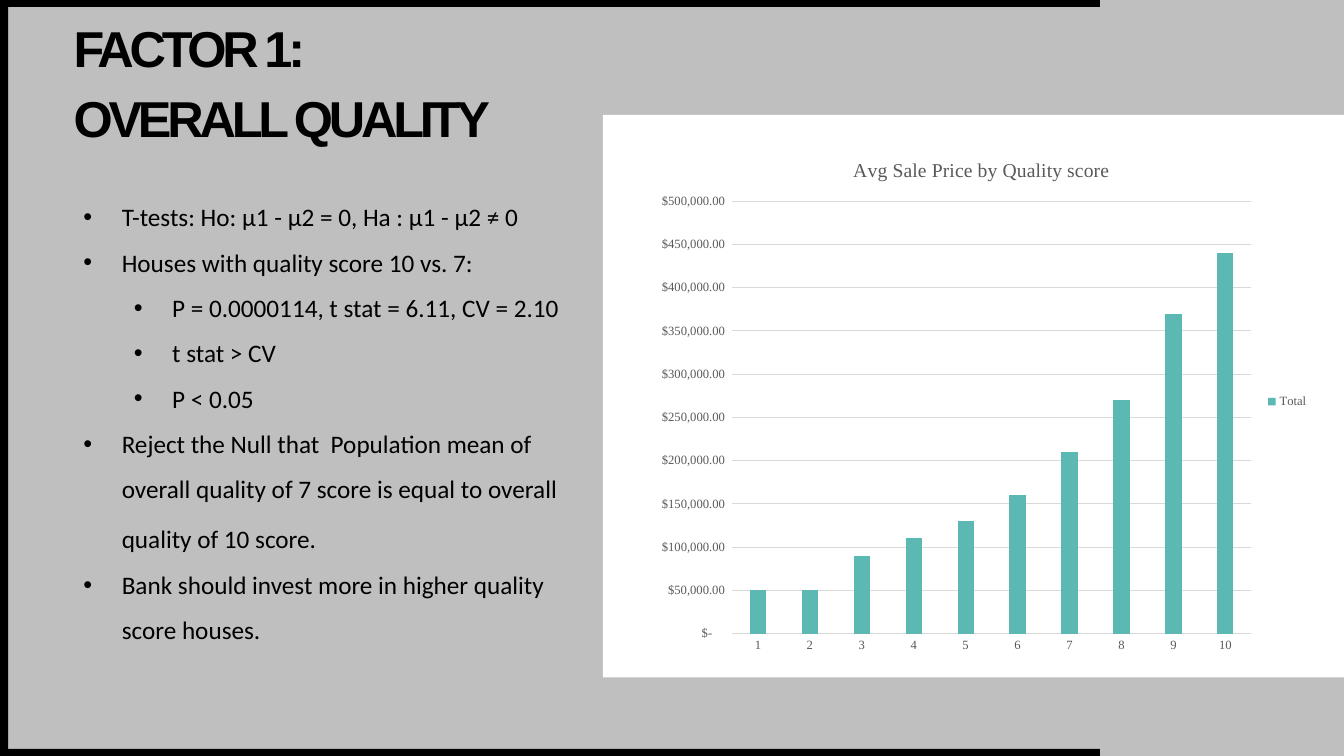
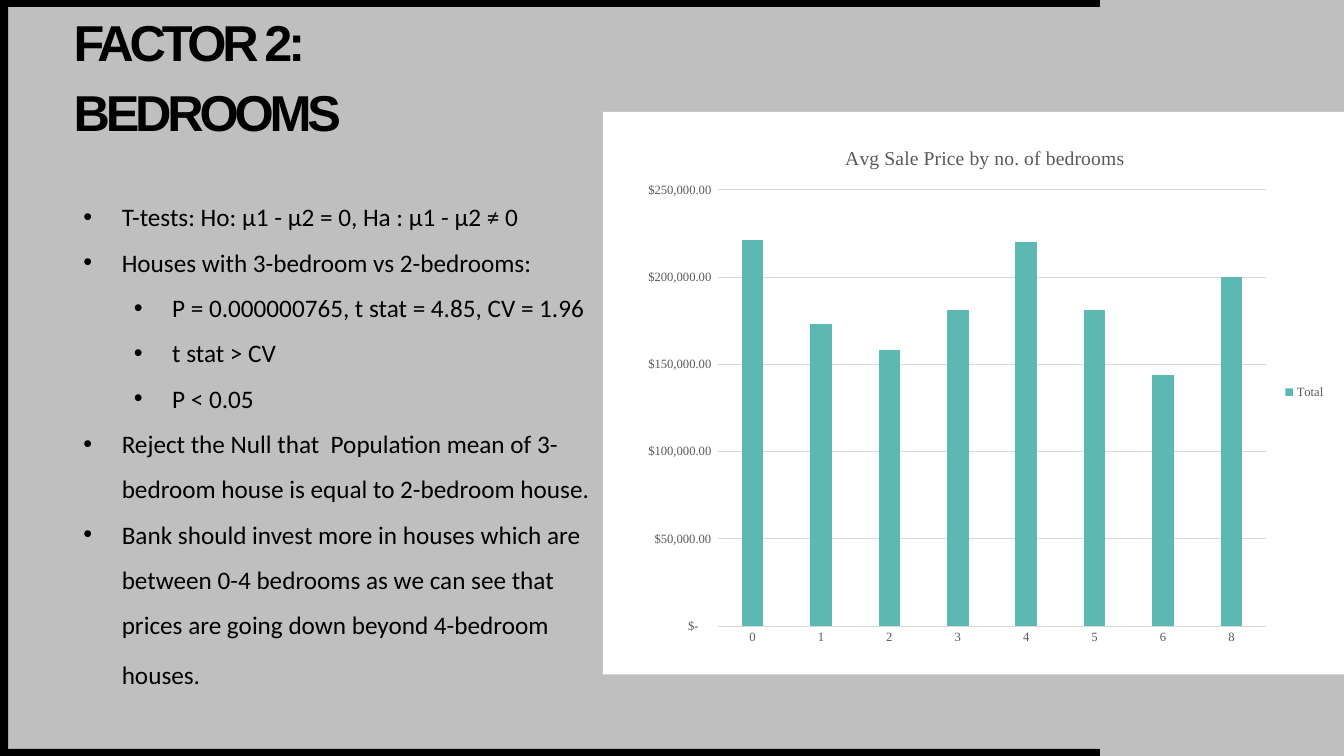
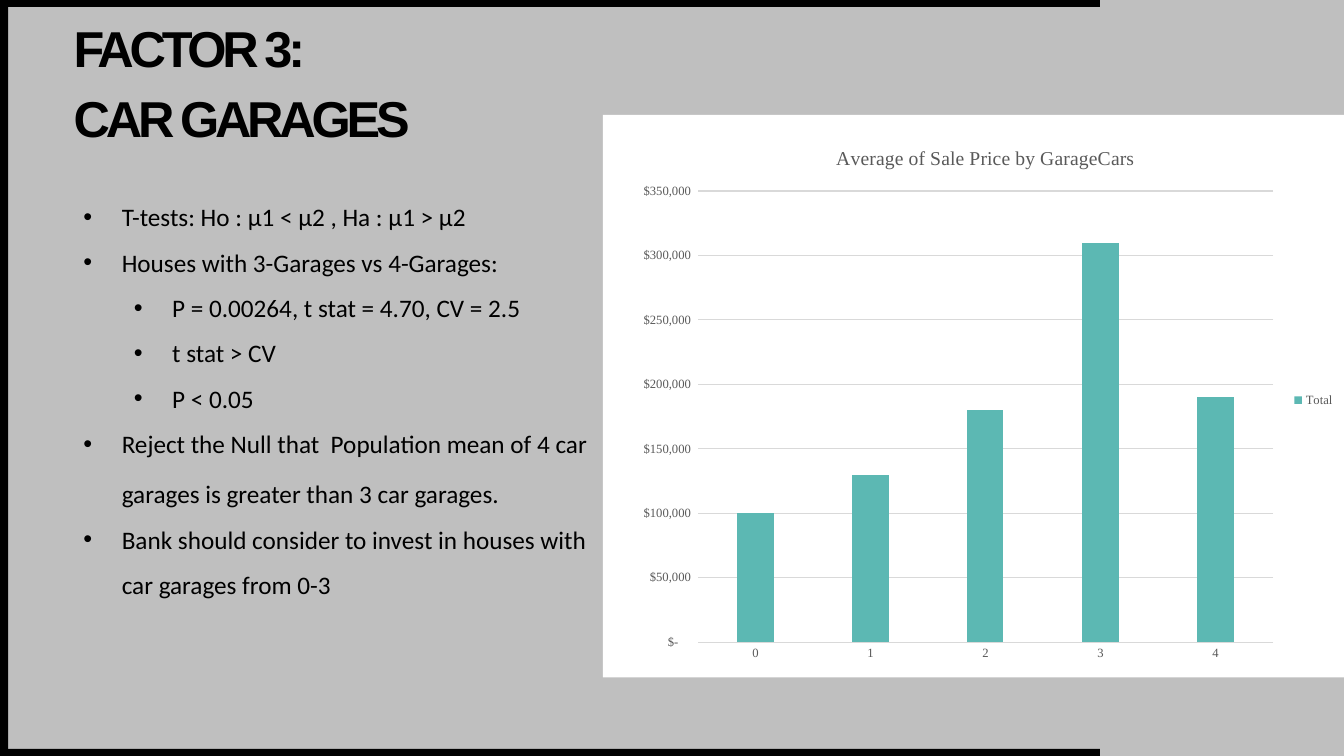
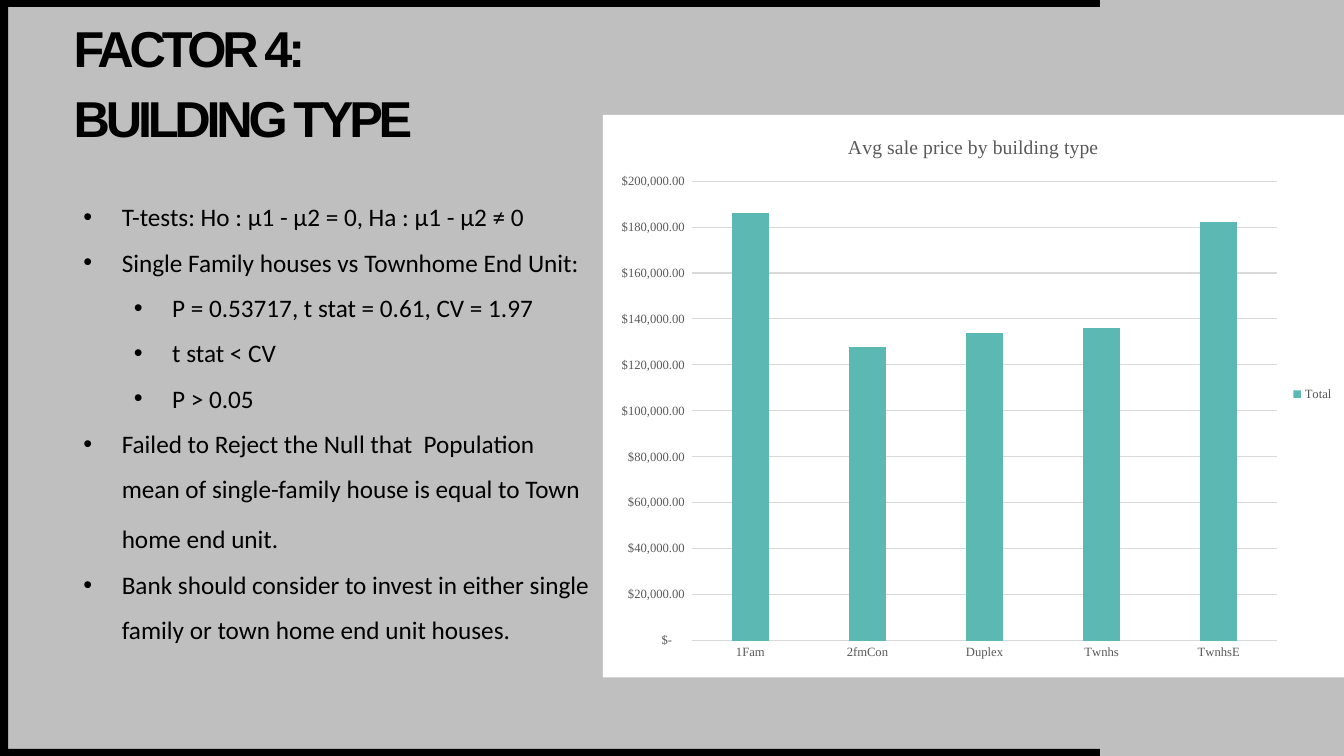
"""Build four slides on the factors behind house sale prices."""
from lxml import etree
from pptx import Presentation
from pptx import util as u
from pptx.chart.data import CategoryChartData
from pptx.dml.color import RGBColor
from pptx.enum import chart as charts, shapes, text
from pptx.oxml import ns

BLACK = RGBColor(0x00, 0x00, 0x00)
WHITE = RGBColor(0xFF, 0xFF, 0xFF)
GRAY = RGBColor(0xBF, 0xBF, 0xBF)
GRID = RGBColor(0xD9, 0xD9, 0xD9)
LABEL = RGBColor(0x59, 0x59, 0x59)
TEAL = RGBColor(0x5C, 0xB8, 0xB3)

WIDTH, HEIGHT = 13.33, 7.5
BAND = 0.07
BANDS = [(0, HEIGHT - BAND, 10.91, BAND), (0, 0, 10.91, BAND), (0, 0, 0.08, HEIGHT)]
LEFT = 0.73
PANEL_LEFT, PANEL_HEIGHT = 5.98, 5.58
PLOT_TOP, PLOT_HEIGHT = 0.12, 0.82
INDENTS = [0.38, 0.88]
HANGING = 0.38

TITLE_FONT = {"name": "Arial", "size": u.Pt(36), "bold": True}
BODY_FONT = {"name": "Calibri", "size": u.Pt(18)}
END_FONT = {"name": "Times New Roman", "size": u.Pt(20)}
CHART_FONT = {"name": "Times New Roman", "size": u.Pt(9), "bold": False}
CHART_TITLE_FONT = {"name": "Times New Roman", "size": u.Pt(14), "bold": False}

DOLLARS = '_("$"* #,##0_);_("$"* \\(#,##0\\);_("$"* "-"??_);_(@_)'
CENTS = '_("$"* #,##0.00_);_("$"* \\(#,##0.00\\);_("$"* "-"??_);_(@_)'

FACTORS = [
    {
        "title": "FACTOR 1:\vOVERALL QUALITY", "title_top": 0.8, "panel_top": 1.14, "body_height": 5.2,
        "points": [
            (0, "T-tests: Ho: µ1 - µ2 = 0, Ha : µ1 - µ2 ≠ 0"),
            (0, "Houses with quality score 10 vs. 7:"),
            (1, "P = 0.0000114, t stat = 6.11, CV = 2.10"),
            (1, "t stat > CV"),
            (1, "P < 0.05"),
            (0, "Reject the Null that  Population mean of overall quality of 7 score is equal to "
                "overall quality of 10 score. "),
            (0, "Bank should invest more in higher quality score houses."),
        ],
        "chart_title": "Avg Sale Price by Quality score", "chart_box": (6.39, 1.37, 6.69, 5.23),
        "plot": (0.13, 0.77), "format": CENTS, "scale": (500000, 50000),
        "prices": {"1": 50000, "2": 50000, "3": 90000, "4": 110000, "5": 130000, "6": 160000,
                   "7": 210000, "8": 270000, "9": 370000, "10": 440000},
    },
    {
        "title": "FACTOR 2:\vBEDROOMS", "title_top": 0.75, "panel_top": 1.11, "body_height": 5.55,
        "points": [
            (0, "T-tests: Ho: µ1 - µ2 = 0, Ha : µ1 - µ2 ≠ 0"),
            (0, "Houses with 3-bedroom vs 2-bedrooms:"),
            (1, "P = 0.000000765, t stat = 4.85, CV = 1.96"),
            (1, "t stat > CV"),
            (1, "P < 0.05"),
            (0, "Reject the Null that  Population mean of 3-bedroom house is equal to 2-bedroom house."),
            (0, "Bank should invest more in houses which are between 0-4 bedrooms as we can see that "
                "prices are going down beyond 4-bedroom houses. "),
        ],
        "chart_title": "Avg Sale Price by no. of bedrooms", "chart_box": (6.29, 1.25, 6.96, 5.28),
        "plot": (0.12, 0.78), "format": CENTS, "scale": (250000, 50000),
        "prices": {"0": 221000, "1": 173000, "2": 158000, "3": 181000, "4": 220000, "5": 181000,
                   "6": 144000, "8": 200000},
    },
    {
        "title": "FACTOR 3:\vCAR GARAGES", "title_top": 0.8, "panel_top": 1.14, "body_height": 4.74,
        "points": [
            (0, "T-tests: Ho : µ1 < µ2 , Ha : µ1 > µ2"),
            (0, "Houses with 3-Garages vs 4-Garages:"),
            (1, "P = 0.00264, t stat = 4.70, CV = 2.5"),
            (1, "t stat > CV"),
            (1, "P < 0.05"),
            (0, "Reject the Null that  Population mean of 4 car garages is greater than 3 car garages. "),
            (0, "Bank should consider to invest in houses with car garages from 0-3"),
        ],
        "chart_title": "Average of Sale Price by GarageCars", "chart_box": (6.21, 1.24, 7.13, 5.46),
        "plot": (0.1, 0.8), "format": DOLLARS, "scale": (350000, 50000),
        "prices": {"0": 100000, "1": 130000, "2": 180000, "3": 310000, "4": 190000},
    },
    {
        "title": "FACTOR 4:\vBUILDING TYPE", "title_top": 0.8, "panel_top": 1.14, "body_height": 5.1,
        "points": [
            (0, "T-tests: Ho : µ1 - µ2 = 0, Ha : µ1 - µ2 ≠ 0"),
            (0, "Single Family houses vs Townhome End Unit:"),
            (1, "P = 0.53717, t stat = 0.61, CV = 1.97"),
            (1, "t stat < CV"),
            (1, "P > 0.05"),
            (0, "Failed to Reject the Null that  Population mean of single-family house is equal to "
                "Town home end unit. "),
            (0, "Bank should consider to invest in either single family or town home end unit houses."),
        ],
        "chart_title": "Avg sale price by building type", "chart_box": (5.98, 1.13, 7.35, 5.56),
        "plot": (0.12, 0.79), "format": CENTS, "scale": (200000, 20000),
        "prices": {"1Fam": 186000, "2fmCon": 128000, "Duplex": 134000, "Twnhs": 136000,
                   "TwnhsE": 182000},
    },
]


def inches(box):
    return [u.Inches(length) for length in box]


def set_values(target, values):
    for name, value in values.items():
        setattr(target, name, value)


def style_font(font, values, color):
    set_values(font, values)
    font.color.rgb = color


def add_rectangle(slide, box, color):
    shape = slide.shapes.add_shape(shapes.MSO_SHAPE.RECTANGLE, *inches(box))
    shape.shadow.inherit = False
    shape.fill.solid()
    shape.fill.fore_color.rgb = color
    shape.line.fill.background()
    return shape


def add_text_frame(slide, box):
    frame = slide.shapes.add_textbox(*inches(box)).text_frame
    frame.word_wrap = True
    return frame


def add_title(slide, title, top):
    frame = add_text_frame(slide, (LEFT, top, 7.55, 0.66))
    set_values(frame, {"margin_left": 0, "margin_right": 0, "margin_top": 0, "margin_bottom": 0,
                       "vertical_anchor": text.MSO_ANCHOR.BOTTOM})
    paragraph = frame.paragraphs[0]
    paragraph.text = title
    paragraph.line_spacing = u.Pt(50)
    for run in paragraph.runs:
        style_font(run.font, TITLE_FONT, BLACK)
        run._r.get_or_add_rPr().set("spc", "-300")


def add_bullet(paragraph, level):
    properties = paragraph._p.get_or_add_pPr()
    properties.set("marL", str(u.Inches(INDENTS[level])))
    properties.set("indent", str(-u.Inches(HANGING)))
    etree.SubElement(properties, ns.qn("a:buFont")).set("typeface", "Arial")
    etree.SubElement(properties, ns.qn("a:buChar")).set("char", "•")


def add_points(slide, points, height):
    frame = add_text_frame(slide, (LEFT, 1.8, 5.26, height))
    frame.auto_size = text.MSO_AUTO_SIZE.SHAPE_TO_FIT_TEXT
    for index, (level, words) in enumerate(points):
        paragraph = frame.add_paragraph() if index else frame.paragraphs[0]
        add_bullet(paragraph, level)
        set_values(paragraph, {"level": level, "line_spacing": 1.5})
        body = words.rstrip()
        for part, values in ((body, BODY_FONT), (words[len(body):], END_FONT)):
            if part:
                run = paragraph.add_run()
                run.text = part
                style_font(run.font, values, BLACK)


def place_plot(chart, left, width):
    area = chart._chartSpace.chart.plotArea
    for old in area.findall(ns.qn("c:layout")):
        area.remove(old)
    layout = etree.Element(ns.qn("c:layout"))
    manual = etree.SubElement(layout, ns.qn("c:manualLayout"))
    for tag, value in (("layoutTarget", "inner"), ("xMode", "edge"), ("yMode", "edge"),
                       ("x", left), ("y", PLOT_TOP), ("w", width), ("h", PLOT_HEIGHT)):
        etree.SubElement(manual, ns.qn("c:" + tag)).set("val", str(value))
    area.insert(0, layout)


def add_price_chart(slide, factor):
    data = CategoryChartData()
    data.categories = list(factor["prices"])
    data.add_series("Total", list(factor["prices"].values()))
    chart = slide.shapes.add_chart(
        charts.XL_CHART_TYPE.COLUMN_CLUSTERED, *inches(factor["chart_box"]), data).chart
    style_font(chart.font, CHART_FONT, LABEL)

    chart.has_title = True
    paragraph = chart.chart_title.text_frame.paragraphs[0]
    run = paragraph.add_run()
    run.text = factor["chart_title"]
    style_font(run.font, CHART_TITLE_FONT, LABEL)
    chart.chart_title.include_in_layout = False

    chart.has_legend = True
    set_values(chart.legend, {"position": charts.XL_LEGEND_POSITION.RIGHT,
                              "include_in_layout": False})
    style_font(chart.legend.font, CHART_FONT, LABEL)

    plot = chart.plots[0]
    set_values(plot, {"gap_width": 219, "overlap": -27, "vary_by_categories": False})
    fill = plot.series[0].format.fill
    fill.solid()
    fill.fore_color.rgb = TEAL

    prices, categories = chart.value_axis, chart.category_axis
    for axis in (prices, categories):
        set_values(axis, {"major_tick_mark": charts.XL_TICK_MARK.NONE,
                          "minor_tick_mark": charts.XL_TICK_MARK.NONE})
        style_font(axis.tick_labels.font, CHART_FONT, LABEL)
    maximum, step = factor["scale"]
    set_values(prices, {"minimum_scale": 0, "maximum_scale": maximum, "major_unit": step})
    set_values(prices.tick_labels, {"number_format": factor["format"],
                                    "number_format_is_linked": False})
    prices.format.line.fill.background()
    for line in (prices.major_gridlines.format.line, categories.format.line):
        line.color.rgb = GRID
        line.width = u.Pt(0.75)
    place_plot(chart, *factor["plot"])


def style_master(master, slide):
    master.background.fill.solid()
    master.background.fill.fore_color.rgb = GRAY
    for box in BANDS:
        master.shapes.element.append(add_rectangle(slide, box, BLACK)._element)


def main():
    presentation = Presentation()
    set_values(presentation, {"slide_width": u.Inches(WIDTH), "slide_height": u.Inches(HEIGHT)})
    for index, factor in enumerate(FACTORS):
        slide = presentation.slides.add_slide(presentation.slide_layouts[6])
        if index == 0:
            style_master(presentation.slide_master, slide)
        panel = (PANEL_LEFT, factor["panel_top"], WIDTH - PANEL_LEFT, PANEL_HEIGHT)
        add_rectangle(slide, panel, WHITE)
        add_title(slide, factor["title"], factor["title_top"])
        add_points(slide, factor["points"], factor["body_height"])
        add_price_chart(slide, factor)
    presentation.save("out.pptx")


if __name__ == "__main__":
    main()
